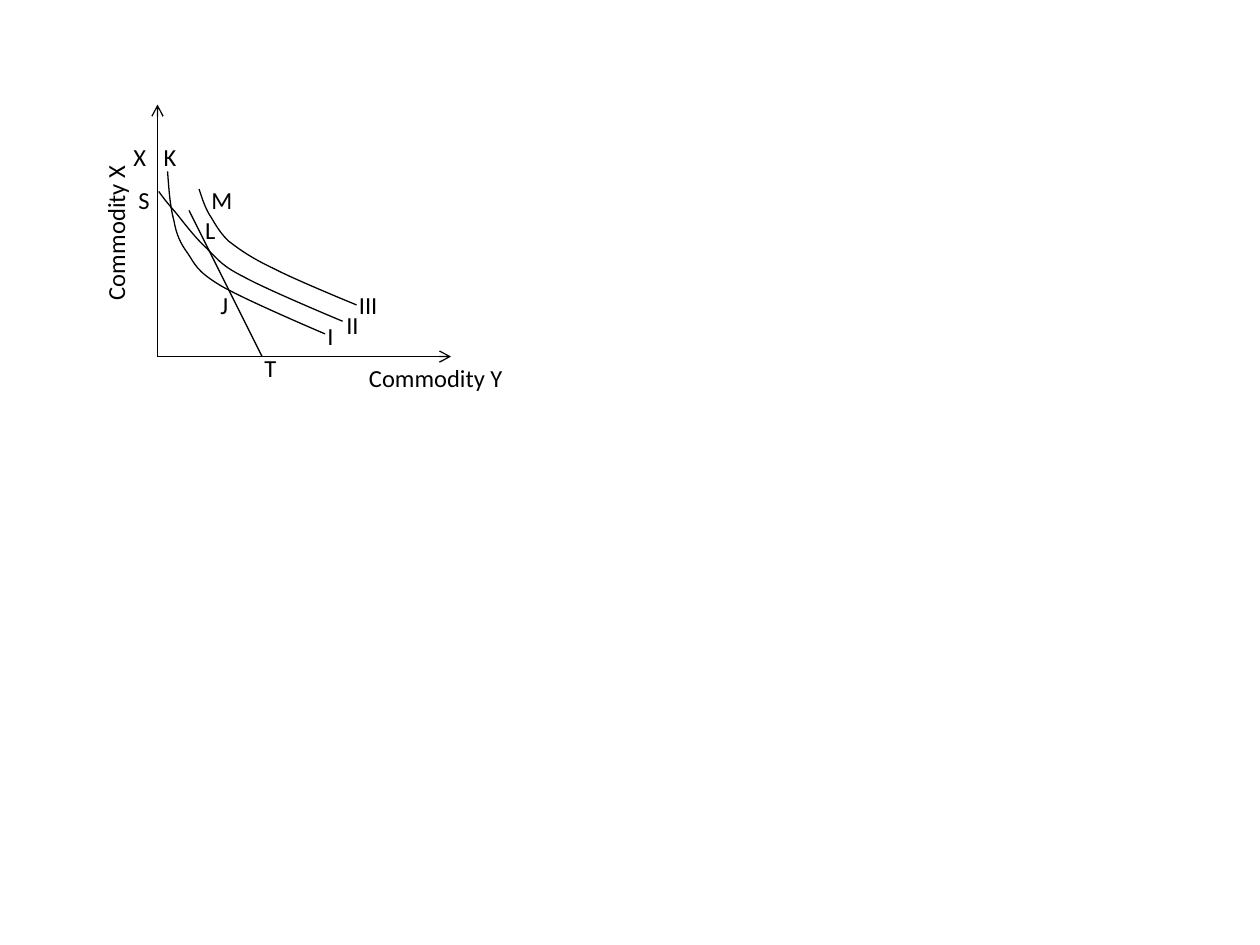
import dataclasses

import pptx
import pptx.dml.color
import pptx.enum.shapes
import pptx.enum.text
import pptx.oxml
import pptx.oxml.ns
import pptx.shapes.base
import pptx.slide
import pptx.util

Inches = pptx.util.Inches
Point = tuple[float, float]

COLORS = {"ink": "000000"}
FONT = "Calibri"
HEIGHT = 0.34
SPACE = pptx.oxml.ns.nsdecls("a")


@dataclasses.dataclass
class Line:
    start: Point
    end: Point
    arrow: bool = False


@dataclasses.dataclass
class Curve:
    points: list[Point]


@dataclasses.dataclass
class Label:
    text: str
    left: float
    top: float
    width: float
    turn: int = 0


ORIGIN = (1.25, 2.83)

AXES = [
    Line(ORIGIN, (1.25, 0.83), arrow=True),
    Line(ORIGIN, (3.58, 2.83), arrow=True),
]

BUDGET = Line((1.5, 1.67), (2.08, 2.83))

CURVES = [
    Curve([(1.33, 1.36), (1.34, 1.5), (1.35, 1.64), (1.38, 1.75),
           (1.4, 1.86), (1.43, 1.93), (1.49, 2.01),
           (1.55, 2.1), (1.56, 2.15), (1.74, 2.26),
           (1.92, 2.37), (2.58, 2.65), (2.58, 2.65)]),
    Curve([(1.58, 1.5), (1.6, 1.56), (1.62, 1.63), (1.66, 1.7),
           (1.7, 1.76), (1.73, 1.83), (1.81, 1.91),
           (1.9, 1.98), (2, 2.05), (2.17, 2.13),
           (2.34, 2.22), (2.83, 2.42), (2.83, 2.42)]),
    Curve([(1.26, 1.52), (1.29, 1.56), (1.31, 1.59), (1.38, 1.67),
           (1.44, 1.74), (1.54, 1.88), (1.64, 1.97),
           (1.73, 2.06), (1.76, 2.11), (1.94, 2.2),
           (2.12, 2.3), (2.72, 2.55), (2.72, 2.55)]),
]

LABELS = [
    Label("K", 1.2, 1.08, 0.3),
    Label("L", 1.53, 1.66, 0.28),
    Label("M", 1.58, 1.42, 0.37),
    Label("J", 1.65, 2.25, 0.27),
    Label("I", 2.5, 2.5, 0.25),
    Label("II", 2.65, 2.41, 0.3),
    Label("III", 2.75, 2.25, 0.35),
    Label("S", 1, 1.42, 0.29),
    Label("X", 0.96, 1.08, 0.3),
    Label("T", 2, 2.75, 0.3),
    Label("Commodity Y", 2.83, 2.83, 1.27),
    Label("Commodity X", 0.28, 1.67, 1.28, turn=270),
]


def ink() -> pptx.dml.color.RGBColor:
    return pptx.dml.color.RGBColor.from_string(COLORS["ink"])


def stroke(shape: pptx.shapes.base.BaseShape) -> None:
    shape.line.color.rgb = ink()
    shape.line.width = pptx.util.Pt(0.75)


def draw_line(slide: pptx.slide.Slide, line: Line) -> None:
    ends = [Inches(n) for n in (*line.start, *line.end)]
    shape = slide.shapes.add_connector(
        pptx.enum.shapes.MSO_CONNECTOR.STRAIGHT, *ends)
    stroke(shape)
    props = shape._element.spPr
    if line.arrow:
        tip = pptx.oxml.parse_xml(f'<a:tailEnd {SPACE} type="arrow"/>')
        props.find(pptx.oxml.ns.qn("a:ln")).append(tip)
    props.append(pptx.oxml.parse_xml(f"<a:effectLst {SPACE}/>"))


def bend(shape: pptx.shapes.base.BaseShape) -> None:
    legs = list(shape._element.iter(pptx.oxml.ns.qn("a:lnTo")))
    for i in range(0, len(legs), 3):
        arc = pptx.oxml.parse_xml(f"<a:cubicBezTo {SPACE}/>")
        legs[i].addprevious(arc)
        for leg in legs[i:i + 3]:
            arc.append(leg[0])
            leg.getparent().remove(leg)


def draw_curve(slide: pptx.slide.Slide, curve: Curve) -> None:
    first, *rest = [(Inches(x), Inches(y)) for x, y in curve.points]
    pen = slide.shapes.build_freeform(*first)
    pen.add_line_segments(rest, close=False)
    shape = pen.convert_to_shape()
    bend(shape)
    shape.fill.background()
    shape.shadow.inherit = False
    stroke(shape)


def draw_label(slide: pptx.slide.Slide, label: Label) -> None:
    box = slide.shapes.add_textbox(Inches(label.left), Inches(label.top),
                                   Inches(label.width), Inches(HEIGHT))
    box.rotation = label.turn
    frame = box.text_frame
    frame.word_wrap = False
    frame.auto_size = pptx.enum.text.MSO_AUTO_SIZE.SHAPE_TO_FIT_TEXT
    text = frame.paragraphs[0]
    text.text = label.text
    text.font.name = FONT
    text.font.size = pptx.util.Pt(14)
    text.font.color.rgb = ink()


def main() -> None:
    deck = pptx.Presentation()
    deck.slide_width, deck.slide_height = Inches(10), Inches(7.5)
    slide = deck.slides.add_slide(deck.slide_layouts[6])
    for axis in AXES:
        draw_line(slide, axis)
    for curve in CURVES:
        draw_curve(slide, curve)
    draw_line(slide, BUDGET)
    for label in LABELS:
        draw_label(slide, label)
    deck.save("out.pptx")


if __name__ == "__main__":
    main()
